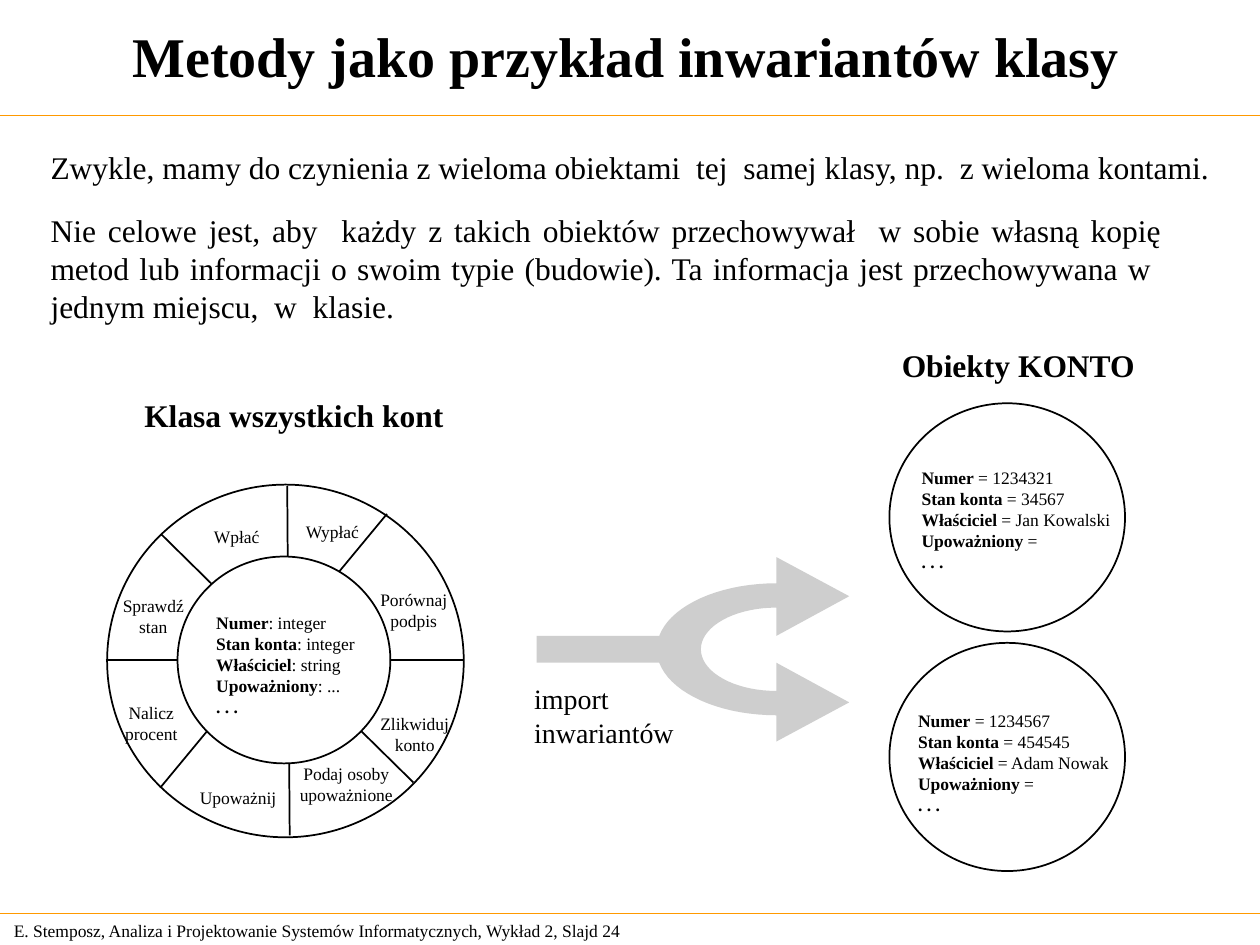
from dataclasses import dataclass
from math import asin, cos, pi, sin
from typing import Any

from lxml.etree import SubElement
from pptx import Presentation
from pptx.dml.color import RGBColor
from pptx.enum.shapes import MSO_CONNECTOR, MSO_SHAPE
from pptx.enum.text import MSO_ANCHOR, MSO_AUTO_SIZE, PP_ALIGN
from pptx.oxml.ns import qn
from pptx.util import Cm, Pt

COLORS = {"ink": "000000", "paper": "FFFFFF", "rule": "FF9900", "arrow": "CECECE"}
FONT = {"name": "Times New Roman"}
SLIDE_WIDTH, SLIDE_HEIGHT = 25.4, 19.05


@dataclass
class Note:
    """Text at a place in cm; each line is a (bold, plain) pair."""
    box: tuple[float, float, float, float]
    lines: list[tuple[str, str]]
    size: float = 10
    align: PP_ALIGN = PP_ALIGN.LEFT
    anchor: MSO_ANCHOR = MSO_ANCHOR.TOP


@dataclass
class Ring:
    box: tuple[float, float, float, float]


@dataclass
class Line:
    start: tuple[float, float]
    end: tuple[float, float]
    color: str = "ink"
    width: float = 1


def rgb(name: str) -> RGBColor:
    return RGBColor.from_string(COLORS[name])


def apply(target: Any, values: dict[str, Any]) -> None:
    for attribute, value in values.items():
        setattr(target, attribute, value)


def draw_note(shapes: Any, note: Note) -> None:
    frame = shapes.add_textbox(*map(Cm, note.box)).text_frame
    apply(frame, {
        "word_wrap": True,
        "vertical_anchor": note.anchor,
        "auto_size": MSO_AUTO_SIZE.NONE,
    })
    for index, (strong, plain) in enumerate(note.lines):
        paragraph = frame.add_paragraph() if index else frame.paragraphs[0]
        paragraph.alignment = note.align
        for words, bold in ((strong, True), (plain, False)):
            if words:
                run = paragraph.add_run()
                run.text = words
                apply(run.font, FONT | {"size": Pt(note.size), "bold": bold})
                run.font.color.rgb = rgb("ink")


def draw_ring(shapes: Any, ring: Ring) -> None:
    circle = shapes.add_shape(MSO_SHAPE.OVAL, *map(Cm, ring.box))
    circle.shadow.inherit = False
    circle.fill.solid()
    circle.fill.fore_color.rgb = rgb("paper")
    circle.line.color.rgb = rgb("ink")
    circle.line.width = Pt(1)


def draw_line(shapes: Any, line: Line) -> None:
    connector = shapes.add_connector(
        MSO_CONNECTOR.STRAIGHT, *map(Cm, line.start + line.end))
    connector.line.color.rgb = rgb(line.color)
    connector.line.width = Pt(line.width)
    SubElement(connector._element.spPr, qn("a:effectLst"))


def draw_forked_arrow(shapes: Any) -> None:
    """Draw one shaft splitting into two heads, mirrored about its axis."""
    center_x, axis_y, shaft_left, tip_x = 15.65, 13.09, 10.82, 17.12
    half_shaft, tip_rise, head_rise = 0.27, 1.07, 1.86
    steps = 18

    def arc(radius_x: float, radius_y: float, first: float, last: float) -> list:
        angles = [first + (last - first) * i / steps for i in range(steps + 1)]
        return [(center_x - radius_x * cos(a), radius_y * sin(a)) for a in angles]

    upper = [
        *arc(1.52, 0.84, 0, pi / 2),
        (center_x, half_shaft), (tip_x, tip_rise), (center_x, head_rise),
        *arc(2.41, 1.33, pi / 2, asin(half_shaft / 1.33)),
        (shaft_left, half_shaft),
    ]
    outline = [(Cm(x), Cm(axis_y - rise)) for x, rise in upper]
    outline += [(Cm(x), Cm(axis_y + rise)) for x, rise in reversed(upper)]
    builder = shapes.build_freeform(*outline[0])
    builder.add_line_segments(outline[1:])
    arrow = builder.convert_to_shape()
    arrow.shadow.inherit = False
    arrow.fill.solid()
    arrow.fill.fore_color.rgb = rgb("arrow")
    arrow.line.fill.background()


def fields(*values: str) -> list[tuple[str, str]]:
    names = ("Numer", "Stan konta", "Właściciel", "Upoważniony")
    return [*zip(names, values), (". . .", "")]


def method(center_x: float, top: float, *words: str) -> Note:
    """Centre a method label in a box wide enough for its longest word."""
    width, height = 2.8, 0.23 + 0.43 * len(words)
    return Note((center_x - width / 2, top, width, height),
                [("", word) for word in words], align=PP_ALIGN.CENTER)


FRAME = [
    Note((0.03, 18.42, 13.31, 0.69),
         [("", "E. Stemposz, Analiza i Projektowanie Systemów Informatycznych, "
               "Wykład 2, Slajd 24")], anchor=MSO_ANCHOR.MIDDLE),
    Line((0, 2.33), (SLIDE_WIDTH, 2.33), "rule", 0.75),
    Line((0, 18.41), (SLIDE_WIDTH, 18.41), "rule", 0.75),
    Note((0, 0.03, 25.25, 2.16), [("Metody jako przykład inwariantów klasy", "")],
         32, PP_ALIGN.CENTER, MSO_ANCHOR.MIDDLE),
    Note((0.77, 2.86, 24.4, 1.02),
         [("", "Zwykle, mamy do czynienia z wieloma obiektami  tej  samej klasy, "
               "np.  z wieloma kontami.")], 18),
    Note((0.77, 4.13, 22.91, 2.54),
         [("", "Nie celowe jest, aby  każdy z takich obiektów przechowywał  w sobie "
               "własną kopię metod lub informacji o swoim typie (budowie). Ta informacja "
               "jest przechowywana w  jednym miejscu,  w  klasie.")],
         18, PP_ALIGN.JUSTIFY),
    Note((2.66, 7.85, 7.2, 1.02), [("Klasa wszystkich kont", "")], 18),
    Note((17.93, 6.86, 5.8, 1.02), [("Obiekty KONTO", "")], 18),
    Note((10.52, 13.62, 3.9, 1.6), [("", "import"), ("", "inwariantów")], 16),
]

ACCOUNT_CLASS = [
    Ring((2.16, 9.77, 7.19, 7.11)),
    Line((3.25, 10.77), (8.33, 15.77)),
    Line((3.23, 15.88), (7.8, 10.36)),
    Line((2.13, 13.31), (9.35, 13.31)),
    Line((5.79, 9.8), (5.84, 16.84)),
    Ring((3.58, 11.22, 4.29, 4.17)),
    method(6.7, 10.38, "Wypłać"),
    method(4.77, 10.47, "Wpłać"),
    method(3.09, 11.87, "Sprawdź", "stan"),
    method(4.8, 15.74, "Upoważnij"),
    method(6.98, 15.25, "Podaj osoby", "upoważnione"),
    method(8.34, 11.75, "Porównaj", "podpis"),
    method(8.36, 14.25, "Zlikwiduj", "konto"),
    method(3.05, 14.02, "Nalicz", "procent"),
    Note((4.11, 12.22, 3.7, 2.36),
         fields(": integer", ": integer", ": string", ": ...")),
]

ACCOUNTS = [
    Ring((17.93, 8.13, 4.75, 4.6)),
    Note((18.33, 9.29, 4.8, 2.36),
         fields(" = 1234321", " = 34567", " = Jan Kowalski", " =")),
    Ring((17.93, 12.96, 4.75, 4.6)),
    Note((18.26, 14.18, 4.8, 2.36),
         fields(" = 1234567", " = 454545", " = Adam Nowak", " =")),
]

PAINTERS = {Note: draw_note, Ring: draw_ring, Line: draw_line}


def draw_all(shapes: Any, parts: list) -> None:
    for part in parts:
        PAINTERS[type(part)](shapes, part)


def main() -> None:
    deck = Presentation()
    apply(deck, {"slide_width": Cm(SLIDE_WIDTH), "slide_height": Cm(SLIDE_HEIGHT)})
    shapes = deck.slides.add_slide(deck.slide_layouts[6]).shapes
    draw_forked_arrow(shapes)
    draw_all(shapes, FRAME)
    draw_all(shapes.add_group_shape().shapes, ACCOUNT_CLASS)
    draw_all(shapes, ACCOUNTS)
    deck.save("out.pptx")


if __name__ == "__main__":
    main()
